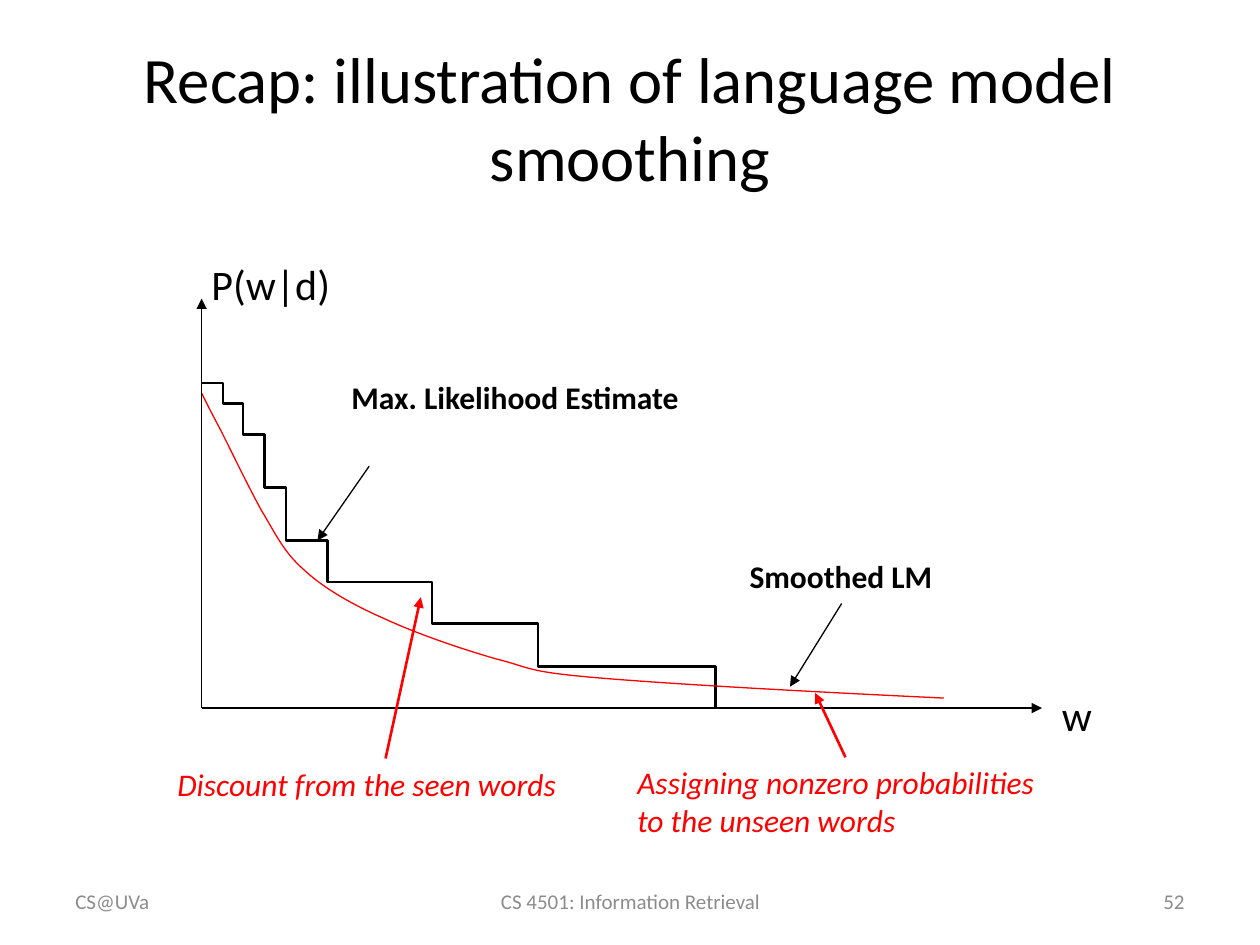
from dataclasses import dataclass, field
from typing import Any

from lxml.etree import SubElement
from pptx import Presentation
from pptx.dml.color import RGBColor
from pptx.enum.shapes import MSO_CONNECTOR
from pptx.enum.text import MSO_ANCHOR, PP_ALIGN
from pptx.oxml.ns import qn
from pptx.util import Inches, Pt

BLACK = RGBColor(0x00, 0x00, 0x00)
RED = RGBColor(0xFF, 0x00, 0x00)
GRAY = RGBColor(0x8C, 0x8C, 0x8C)
ORIGIN_X, BASELINE = 1.6, 5.62
LAST_SEEN = 5.68
Point = tuple[float, float]


@dataclass
class Label:
    text: str
    box: tuple[float, float, float, float]
    size: float
    color: RGBColor = BLACK
    font: dict[str, Any] = field(default_factory=dict)
    align: PP_ALIGN = PP_ALIGN.LEFT
    anchor: MSO_ANCHOR = MSO_ANCHOR.TOP
    wrap: bool = True


@dataclass
class Line:
    start: Point
    end: Point
    color: RGBColor = BLACK
    width: float = 0.75
    arrow: bool = True


BOLD = {"bold": True}
ITALIC = {"italic": True}
MIDDLE = MSO_ANCHOR.MIDDLE

LABELS = [
    Label("Recap: illustration of language model smoothing", (0.5, 0.3, 9, 1.25), 37,
          align=PP_ALIGN.CENTER, anchor=MIDDLE),
    Label("P(w|d)", (1.58, 2, 1.15, 0.51), 24, wrap=False),
    Label("w", (8.33, 5.42, 0.44, 0.5), 24, wrap=False),
    Label("Max. Likelihood Estimate", (2.69, 2.95, 3.25, 0.4), 18, font=BOLD),
    Label("Smoothed LM", (5.85, 4.37, 2.08, 0.37), 18, font=BOLD),
    Label("Assigning nonzero probabilities to the unseen words",
          (4.96, 6.01, 3.5, 0.71), 18, RED, ITALIC),
    Label("Discount from the seen words", (1.31, 6.02, 3.5, 0.4), 18, RED, ITALIC),
    Label("CS@UVa", (0.5, 6.95, 2.33, 0.4), 12, GRAY, anchor=MIDDLE),
    Label("CS 4501: Information Retrieval", (3.42, 6.95, 3.17, 0.4), 12, GRAY,
          align=PP_ALIGN.CENTER, anchor=MIDDLE),
    Label("52", (7.17, 6.95, 2.33, 0.4), 12, GRAY, align=PP_ALIGN.RIGHT, anchor=MIDDLE),
]

LINES = [
    Line((ORIGIN_X, BASELINE), (8.27, BASELINE)),
    Line((ORIGIN_X, BASELINE), (ORIGIN_X, 2.37)),
    Line((LAST_SEEN, BASELINE), (7.68, BASELINE), width=1.5, arrow=False),
    Line((2.93, 3.7), (2.52, 4.29)),
    Line((6.68, 4.79), (6.27, 5.45)),
    Line((6.71, 6.01), (6.47, 5.5), RED, 1.5),
    Line((3.06, 6.02), (3.34, 4.74), RED, 1.5),
]

STEP_ENDS = [1.77, 1.93, 2.1, 2.27, 2.6, 3.43, 4.27, LAST_SEEN]
STEP_HEIGHTS = [3.04, 3.2, 3.45, 3.87, 4.29, 4.62, 4.95, 5.29, BASELINE]

SMOOTHED_CURVE = [
    (ORIGIN_X, 3.12),
    (1.64, 3.2), (1.68, 3.28), (1.76, 3.43),
    (1.84, 3.59), (1.98, 3.88), (2.08, 4.06),
    (2.19, 4.24), (2.25, 4.38), (2.41, 4.52),
    (2.57, 4.67), (2.8, 4.8), (3.05, 4.91),
    (3.31, 5.03), (3.66, 5.15), (3.94, 5.23),
    (4.22, 5.3), (4.16, 5.33), (4.75, 5.38),
    (5.34, 5.43), (6.42, 5.49), (7.49, 5.54),
]


def set_attributes(target: Any, values: dict[str, Any]) -> None:
    for name, value in values.items():
        setattr(target, name, value)


def add_label(slide: Any, label: Label) -> None:
    shape = slide.shapes.add_textbox(*map(Inches, label.box))
    frame = shape.text_frame
    set_attributes(frame, {"word_wrap": label.wrap, "vertical_anchor": label.anchor})
    paragraph = frame.paragraphs[0]
    paragraph.alignment = label.align
    run = paragraph.add_run()
    run.text = label.text
    set_attributes(run.font, {"name": "Calibri", "size": Pt(label.size), **label.font})
    run.font.color.rgb = label.color


def style_line(shape: Any, color: RGBColor, width: float) -> None:
    shape.line.color.rgb = color
    shape.line.width = Pt(width)


def add_line(slide: Any, line: Line) -> None:
    connector = slide.shapes.add_connector(
        MSO_CONNECTOR.STRAIGHT, *map(Inches, line.start + line.end))
    style_line(connector, line.color, line.width)
    if line.arrow:
        SubElement(connector.line._get_or_add_ln(), qn("a:tailEnd"), type="triangle")
    SubElement(connector._element.spPr, qn("a:effectLst"))


def add_outline(slide: Any, points: list[Point], color: RGBColor, width: float) -> Any:
    start, *rest = [(Inches(x), Inches(y)) for x, y in points]
    builder = slide.shapes.build_freeform(*start)
    builder.add_line_segments(rest, close=False)
    shape = builder.convert_to_shape()
    shape.shadow.inherit = False
    shape.fill.background()
    style_line(shape, color, width)
    return shape


def bend_segments(shape: Any) -> None:
    outline = next(shape._element.iter(qn("a:path")))
    segments = outline.findall(qn("a:lnTo"))
    for index in range(0, len(segments), 3):
        curve = SubElement(outline, qn("a:cubicBezTo"))
        for segment in segments[index:index + 3]:
            curve.append(segment[0])
            outline.remove(segment)


def stair_points() -> list[Point]:
    points = [(ORIGIN_X, STEP_HEIGHTS[0])]
    for end, height, next_height in zip(STEP_ENDS, STEP_HEIGHTS, STEP_HEIGHTS[1:]):
        points += [(end, height), (end, next_height)]
    return points


def main() -> None:
    presentation = Presentation()
    set_attributes(presentation, {"slide_width": Inches(10), "slide_height": Inches(7.5)})
    slide = presentation.slides.add_slide(presentation.slide_layouts[6])
    for label in LABELS:
        add_label(slide, label)
    add_outline(slide, stair_points(), BLACK, 1.5)
    bend_segments(add_outline(slide, SMOOTHED_CURVE, RED, 0.75))
    for line in LINES:
        add_line(slide, line)
    presentation.save("out.pptx")


if __name__ == "__main__":
    main()
